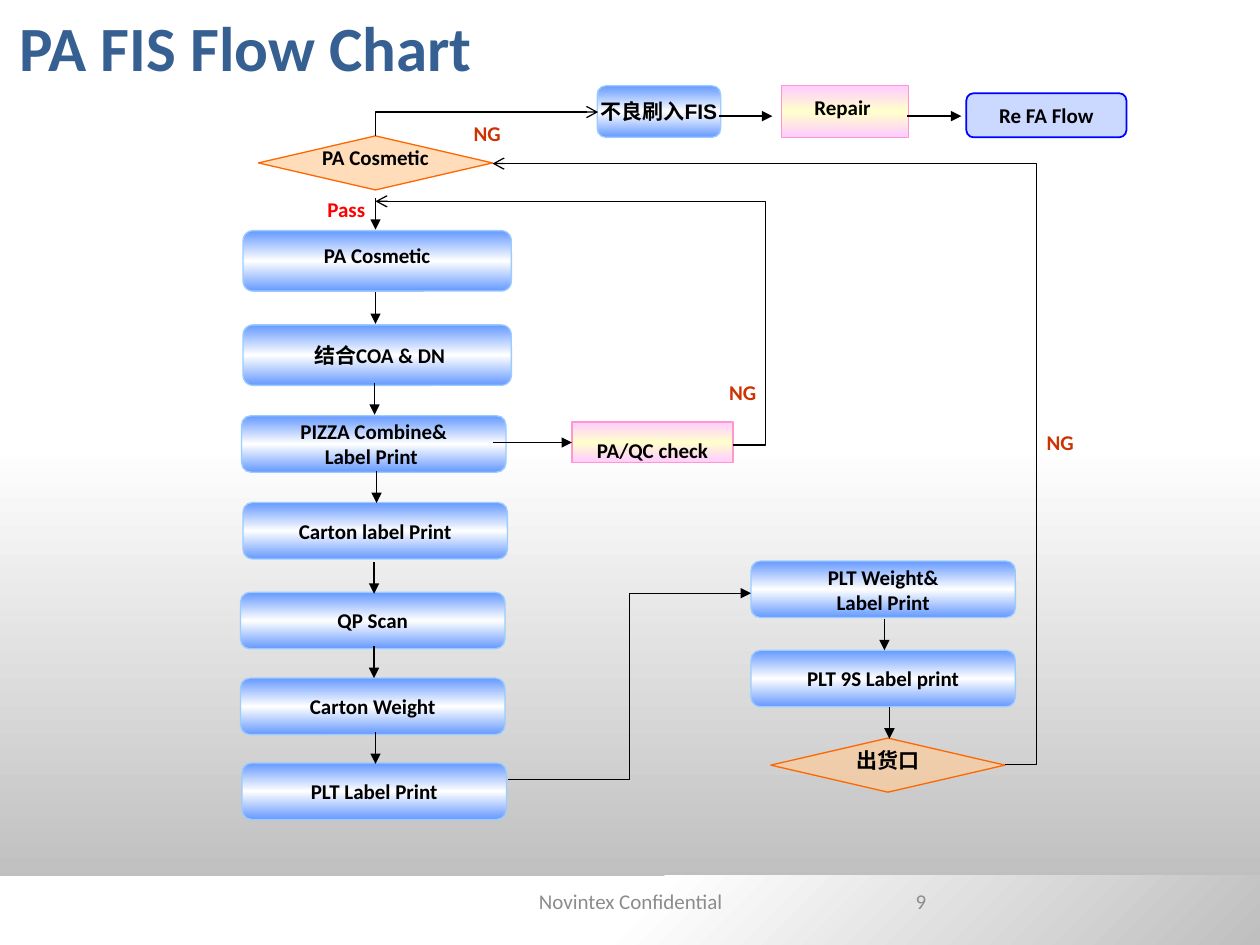
from lxml import etree
from pptx import Presentation, util as u
from pptx.dml.color import RGBColor
from pptx.enum import shapes, text
from pptx.oxml import parse_xml
from pptx.oxml.ns import qn

NAMESPACE = "http://schemas.openxmlformats.org/drawingml/2006/main"
BLACK = RGBColor(0x00, 0x00, 0x00)
WHITE = RGBColor(0xFF, 0xFF, 0xFF)
SILVER = RGBColor(0xBF, 0xBF, 0xBF)
GRAY = RGBColor(0x8C, 0x8C, 0x8C)
NAVY = RGBColor(0x37, 0x60, 0x92)
BLUE = RGBColor(0x66, 0x99, 0xFF)
SKY = RGBColor(0x99, 0xCC, 0xFF)
ROYAL = RGBColor(0x33, 0x66, 0xFF)
PURE_BLUE = RGBColor(0x00, 0x00, 0xFF)
PINK = RGBColor(0xFF, 0xCC, 0xFF)
ROSE = RGBColor(0xFF, 0x99, 0xCC)
CREAM = RGBColor(0xFF, 0xFF, 0xCC)
PEACH = RGBColor(0xFF, 0xCC, 0x99)
ORANGE = RGBColor(0xFF, 0x66, 0x00)
RED = RGBColor(0xFF, 0x00, 0x00)
RUST = RGBColor(0xCC, 0x33, 0x00)

SHAPE = shapes.MSO_SHAPE
CENTER = text.PP_ALIGN.CENTER
LEFT = text.PP_ALIGN.LEFT
DOWN = '<a:lin ang="5400000" scaled="1"/>'
UP = '<a:lin ang="16200000" scaled="1"/>'
FROM_CORNER = '<a:path path="circle"><a:fillToRect l="100000" t="100000"/></a:path>'

# Text, left, top, width, height in centimetres
STEPS = [
    ("PA Cosmetic", 4.9, 4.65, 5.41, 1.22),
    (" 结合COA & DN", 4.9, 6.55, 5.41, 1.22),
    ("PIZZA Combine&\nLabel Print ", 4.87, 8.38, 5.33, 1.14),
    ("Carton label Print", 4.9, 10.13, 5.33, 1.14),
    ("QP Scan", 4.85, 11.94, 5.33, 1.14),
    ("Carton Weight", 4.85, 13.67, 5.33, 1.14),
    ("PLT Label Print", 4.88, 15.38, 5.33, 1.14),
    ("PLT Weight&\nLabel Print", 15.14, 11.31, 5.33, 1.14),
    ("PLT 9S Label print", 15.14, 13.11, 5.33, 1.14),
]
# Centre and top of the short arrows that lead down to the next step
DOWN_ARROWS = [(7.57, 3.99), (7.57, 5.89), (7.55, 7.72), (7.59, 9.5),
               (7.54, 11.33), (7.54, 13.03), (7.57, 14.76),
               (17.83, 12.47), (17.93, 14.25)]
ARROW_LENGTH = 0.64
SIDE_ARROWS = [((9.93, 8.92), (11.53, 8.92)),
               ((14.5, 2.34), (15.57, 2.34)),
               ((18.29, 2.34), (19.38, 2.34))]
LABELS = [("Pass", RED, 6.35, 3.84, 1.52), ("NG", RUST, 14.45, 7.52, 1.24),
          ("NG", RUST, 9.3, 2.31, 1.24), ("NG", RUST, 20.85, 8.53, 1.24)]


def set_all(target, values):
    for name, value in values.items():
        setattr(target, name, value)


def write(frame, words, align=CENTER, spacing=None, font="Calibri",
          size=12, color=BLACK, bold=True):
    para = frame.paragraphs[0]
    para.text = words
    set_all(para, {"alignment": align, "line_spacing": spacing})
    for span in para.runs:
        set_all(span.font, {"name": font, "size": u.Pt(size), "bold": bold})
        span.font.color.rgb = color


def fill_gradient(shape, stops, direction):
    """Fill with (percent, colour) stops, which python-pptx limits to two."""
    shape.fill.background()
    stop_list = "".join(
        f'<a:gs pos="{percent * 1000}"><a:srgbClr val="{color}"/></a:gs>'
        for percent, color in stops)
    gradient = parse_xml(f'<a:gradFill xmlns:a="{NAMESPACE}" rotWithShape="1">'
                         f'<a:gsLst>{stop_list}</a:gsLst>{direction}</a:gradFill>')
    properties = shape._element.spPr
    properties.replace(properties.find(qn("a:noFill")), gradient)


def fill_clear(shape, color, opacity):
    shape.fill.solid()
    shape.fill.fore_color.rgb = color
    tone = shape._element.spPr.find(qn("a:solidFill"))[0]
    etree.SubElement(tone, qn("a:alpha")).set("val", str(opacity * 1000))


def add_backdrop(page, top, height, direction):
    band = page.shapes.add_shape(SHAPE.RECTANGLE, 0, u.Cm(top), u.Cm(25.4), u.Cm(height))
    band.shadow.inherit = False
    band.line.fill.background()
    fill_gradient(band, [(0, SILVER), (50, WHITE), (100, WHITE)], direction)


def add_node(page, kind, words, place, edge, edge_width=0.75, **style):
    node = page.shapes.add_shape(kind, *map(u.Cm, place))
    node.shadow.inherit = False
    node.line.color.rgb = edge
    node.line.width = u.Pt(edge_width)
    set_all(node.text_frame, {"word_wrap": False,
                              "vertical_anchor": text.MSO_ANCHOR.MIDDLE})
    write(node.text_frame, words, **style)
    return node


def add_step(page, words, *place, **style):
    step = add_node(page, SHAPE.ROUNDED_RECTANGLE, words, place, SKY, **style)
    fill_gradient(step, [(0, BLUE), (50, WHITE), (100, BLUE)], DOWN)


def add_check(page, words, *place, **style):
    check = add_node(page, SHAPE.RECTANGLE, words, place, ROSE, **style)
    fill_gradient(check, [(0, PINK), (50, CREAM), (100, PINK)], DOWN)
    return check


def add_decision(page, words, left, top):
    decision = add_node(page, SHAPE.DIAMOND, words, (left, top, 4.72, 1.09), ORANGE,
                        spacing=0.4)
    fill_clear(decision, PEACH, 67)


def add_label(page, words, left, top, width, height=0.8, anchor=text.MSO_ANCHOR.TOP, **style):
    box = page.shapes.add_textbox(*map(u.Cm, (left, top, width, height)))
    set_all(box.text_frame, {"word_wrap": True, "vertical_anchor": anchor})
    write(box.text_frame, words, **style)


def add_arrow(page, start, end, kind="line", bend=None, tip="triangle", tip_at="tailEnd"):
    """Draw a line or bent connector; bend is its turning point as a share of the width."""
    arrow = page.shapes.add_connector(shapes.MSO_CONNECTOR.STRAIGHT,
                                      *map(u.Cm, (*start, *end)))
    arrow.line.color.rgb = BLACK
    arrow.line.width = u.Pt(0.75)
    etree.SubElement(arrow.line._get_or_add_ln(), qn(f"a:{tip_at}")).set("type", tip)
    properties = arrow._element.spPr
    etree.SubElement(properties, qn("a:effectLst"))
    geometry = properties.find(qn("a:prstGeom"))
    geometry.set("prst", kind)
    if bend is not None:
        guide = etree.SubElement(geometry.find(qn("a:avLst")), qn("a:gd"))
        guide.set("name", "adj1")
        guide.set("fmla", f"val {round(bend * 100000)}")


def add_title(page, words):
    title = page.shapes.title
    set_all(title, {"left": u.Cm(0.13), "top": u.Cm(-0.08),
                    "width": u.Cm(21.79), "height": u.Cm(2.01)})
    title.text_frame.vertical_anchor = text.MSO_ANCHOR.MIDDLE
    write(title.text_frame, words, align=LEFT, size=36, color=NAVY)
    page.shapes._spTree.append(title._element)  # in front of the backdrop


def main():
    deck = Presentation()
    set_all(deck, {"slide_width": u.Cm(25.4), "slide_height": u.Cm(19.05)})
    page = deck.slides.add_slide(deck.slide_layouts[5])
    add_backdrop(page, 0, 17.86, UP)
    add_backdrop(page, 17.65, 1.4, FROM_CORNER)
    add_title(page, "PA FIS Flow Chart")

    for index, step in enumerate(STEPS):
        add_step(page, *step, spacing=0.4 if index == 0 else None)
    add_step(page, "不良刷入FIS", 12.04, 1.73, 2.49, 1.04, font="Arial")
    add_decision(page, "PA Cosmetic", 5.21, 2.74)
    add_decision(page, "出货口", 15.54, 14.88)
    add_check(page, "Repair ", 15.75, 1.73, 2.57, 1.04, spacing=0.5)
    quality = add_check(page, "PA/QC check", 11.53, 8.51, 3.25, 0.81)
    set_all(quality.text_frame, {"margin_top": u.Cm(0.3), "margin_bottom": 0})
    rework = add_node(page, SHAPE.ROUNDED_RECTANGLE, "Re FA Flow",
                      (19.48, 1.88, 3.23, 0.89), PURE_BLUE, edge_width=1)
    fill_clear(rework, ROYAL, 25)

    for center, top in DOWN_ARROWS:
        add_arrow(page, (center, top), (center, top + ARROW_LENGTH))
    for start, end in SIDE_ARROWS:
        add_arrow(page, start, end)
    add_arrow(page, (10.24, 15.72), (15.14, 11.96), "bentConnector3", 0.5)
    add_arrow(page, (14.78, 8.97), (7.57, 4.06), "bentConnector3", -0.09, "arrow")
    add_arrow(page, (20.27, 15.42), (9.93, 3.3), "bentConnector3", -0.06, "arrow")
    add_arrow(page, (12.06, 2.26), (7.57, 2.74), "bentConnector2", None, "arrow", "headEnd")

    for words, color, *place in LABELS:
        add_label(page, words, *place, align=LEFT, color=color)
    footer = {"height": 1.02, "anchor": text.MSO_ANCHOR.MIDDLE, "color": GRAY, "bold": False}
    add_label(page, "Novintex Confidential", 8.69, 17.65, 8.05, **footer)
    add_label(page, "9", 18.21, 17.65, 5.92, align=LEFT, **footer)
    deck.save("out.pptx")


if __name__ == "__main__":
    main()
